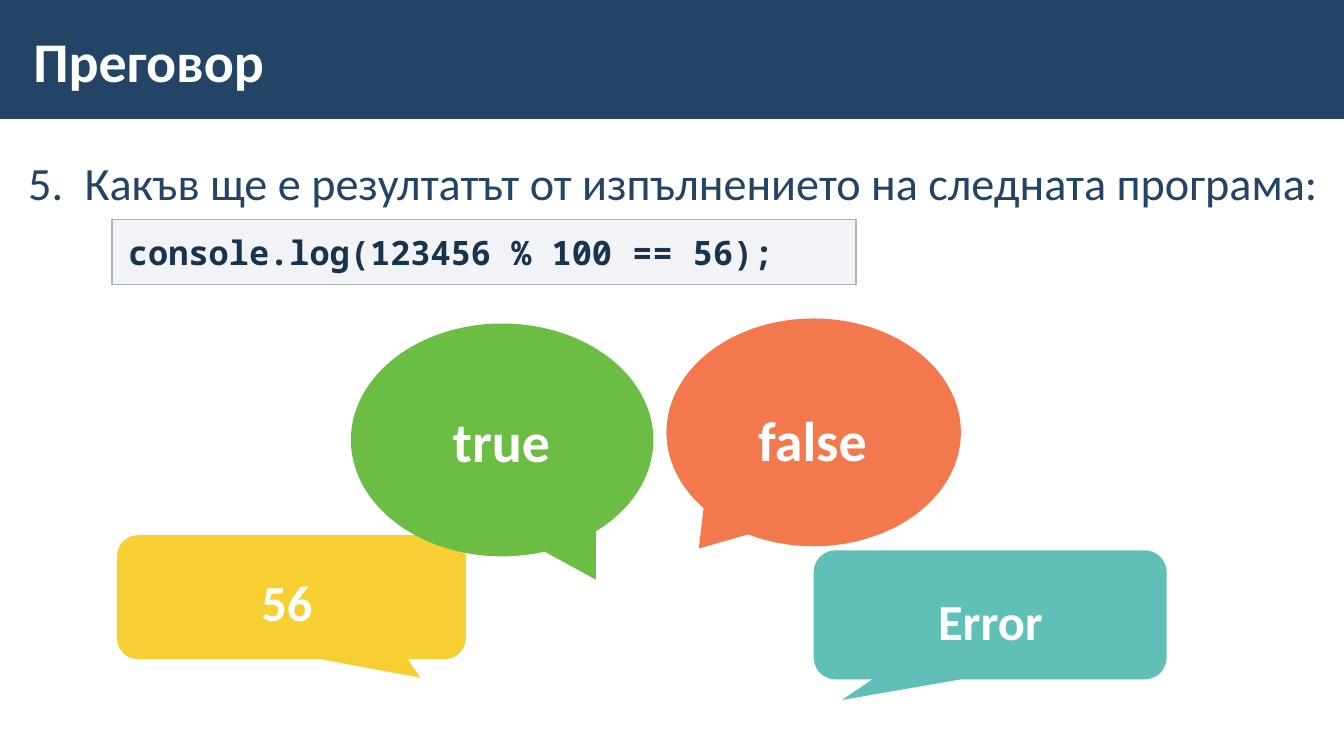
from dataclasses import dataclass

from lxml.etree import SubElement
from pptx import Presentation
from pptx.dml.color import RGBColor
from pptx.enum.shapes import MSO_SHAPE as Shape
from pptx.enum.text import MSO_ANCHOR as Anchor, MSO_AUTO_SIZE as AutoSize, PP_ALIGN as Align
from pptx.oxml.ns import qn
from pptx.util import Inches, Pt


@dataclass(frozen=True)
class Theme:
    navy: str = "234465"
    white: str = "FFFFFF"
    code_ink: str = "1A334C"
    code_box: str = "ADB4C3"
    yellow: str = "F5C300"
    green: str = "6CBD44"
    orange: str = "F15721"
    teal: str = "60BFB7"
    font: str = "Calibri"
    mono: str = "Noto Sans Mono"
    title: int = 40
    body: int = 33
    code: int = 24
    answer: int = 36
    big_answer: int = 40


@dataclass(frozen=True)
class Box:
    """Left, top, width and height in percent of the slide's size."""
    x: float
    y: float
    w: float
    h: float

    def emu(self) -> tuple[int, ...]:
        return tuple(round(share * full / 100) for share, full in
                     zip((self.x, self.y, self.w, self.h), (WIDTH, HEIGHT) * 2))


@dataclass(frozen=True)
class Bubble:
    text: str
    kind: Shape
    box: Box
    label: Box
    tail: tuple[float, ...]
    color: str
    size: int
    alpha: int = 100
    align: Align = Align.LEFT
    spacing: float = 1.1
    level: int = 0
    indent: float = 0


T = Theme()
WIDTH, HEIGHT = Inches(13.33), Inches(7.5)
TIGHT, ROOMY = (0.12, 0.04), (0.16, 0.12)  # horizontal and vertical text insets

ROUND, OVAL = Shape.ROUNDED_RECTANGULAR_CALLOUT, Shape.OVAL_CALLOUT
BUBBLES = (
    Bubble("56", ROUND, Box(8.7, 70.8, 25.96, 16.4), Box(11.4, 73.2, 19.88, 11.6),
           (0.37, 0.65, 0.17), T.yellow, T.answer, alpha=80, align=Align.CENTER),
    Bubble("true", OVAL, Box(26.11, 42.8, 22.51, 30.8), Box(28.73, 52.13, 17.25, 12.13),
           (0.31, 0.6), T.green, T.big_answer, spacing=1, level=1, indent=0.5),
    Bubble("false", OVAL, Box(49.59, 42.13, 21.91, 30.13), Box(55.21, 51.2, 12.83, 12.53),
           (-0.39, 0.51), T.orange, T.big_answer, alpha=80),
    Bubble("Error", ROUND, Box(60.54, 72.8, 26.26, 17.07), Box(62.49, 75.6, 22.43, 11.6),
           (-0.42, 0.66, 0.17), T.teal, T.answer, align=Align.CENTER),
)


def place(sp, box: Box) -> None:
    sp.left, sp.top, sp.width, sp.height = box.emu()


def write(sp, text: str, *, size: int, color: str = T.white, font: str = T.font,
          bold: bool = True, align: Align = Align.LEFT, anchor: Anchor = Anchor.TOP,
          insets: tuple[float, float] = ROOMY, grow: bool = True, spacing: float = 1,
          gap: float = 0, level: int = 0, indent: float = 0, hanging: float = 0,
          number: int = 0) -> None:
    tf = sp.text_frame
    tf.word_wrap = True
    tf.auto_size = AutoSize.SHAPE_TO_FIT_TEXT if grow else AutoSize.NONE
    tf.vertical_anchor = anchor
    tf.margin_left = tf.margin_right = Inches(insets[0])
    tf.margin_top = tf.margin_bottom = Inches(insets[1])
    p = tf.paragraphs[0]
    p.alignment, p.level, p.line_spacing = align, level, spacing
    p.space_before = p.space_after = Pt(gap)
    pPr = p._p.get_or_add_pPr()
    pPr.set("marL", str(Inches(indent)))
    pPr.set("indent", str(-Inches(hanging)))
    if number:
        SubElement(pPr, qn("a:buAutoNum"), type="arabicPeriod", startAt=str(number))
    r = p.add_run()
    r.text = text
    r.font.name, r.font.size, r.font.bold = font, Pt(size), bold
    r.font.color.rgb = RGBColor.from_string(color)


def add_shape(shapes, kind: Shape, box: Box, color: str, *, alpha: int = 100,
              line: str | None = None):
    sp = shapes.add_shape(kind, *box.emu())
    sp.shadow.inherit = False
    sp.fill.solid()
    sp.fill.fore_color.rgb = RGBColor.from_string(color)
    if alpha < 100:
        clr = sp.fill._xPr.find(f".//{qn('a:srgbClr')}")
        SubElement(clr, qn("a:alpha"), val=str(alpha * 1000))
    if line:
        sp.line.color.rgb = RGBColor.from_string(line)
        sp.line.width = Pt(1)
    else:
        sp.line.fill.background()
    return sp


def add_bubble(s, b: Bubble) -> None:
    shapes = s.shapes.add_group_shape().shapes
    sp = add_shape(shapes, b.kind, b.box, b.color, alpha=b.alpha)
    for i, value in enumerate(b.tail):
        sp.adjustments[i] = value
    write(shapes.add_textbox(*b.label.emu()), b.text, size=b.size, align=b.align,
          spacing=b.spacing, level=b.level, indent=b.indent)


def main() -> None:
    prs = Presentation()
    prs.slide_width, prs.slide_height = WIDTH, HEIGHT
    s = prs.slides.add_slide(prs.slide_layouts[1])

    # Header bar, behind the title
    bar = add_shape(s.shapes, Shape.RECTANGLE, Box(0, -0.27, 100, 16), T.navy)
    s.shapes.element.insert(2, bar.element)

    # Title and question
    title, body = s.shapes.title, s.placeholders[1]
    place(title, Box(1.58, 1.47, 77.94, 12.93))
    write(title, "Преговор", size=T.title, anchor=Anchor.MIDDLE, insets=TIGHT, grow=False)
    place(body, Box(1.2, 19.47, 104.05, 75.6))
    write(body, "Какъв ще е резултатът от изпълнението на следната програма:",
          size=T.body, color=T.navy, bold=False, insets=TIGHT, grow=False,
          spacing=1.05, gap=6, indent=0.56, hanging=0.56, number=5)

    # Code
    code = add_shape(s.shapes, Shape.RECTANGLE, Box(8.33, 29.07, 55.36, 8.53),
                     T.code_box, alpha=15, line=T.code_box)
    write(code, "console.log(123456 % 100 == 56);", size=T.code, color=T.code_ink,
          font=T.mono, gap=6)

    # Answers
    for bubble in BUBBLES:
        add_bubble(s, bubble)

    prs.save("out.pptx")


if __name__ == "__main__":
    main()
